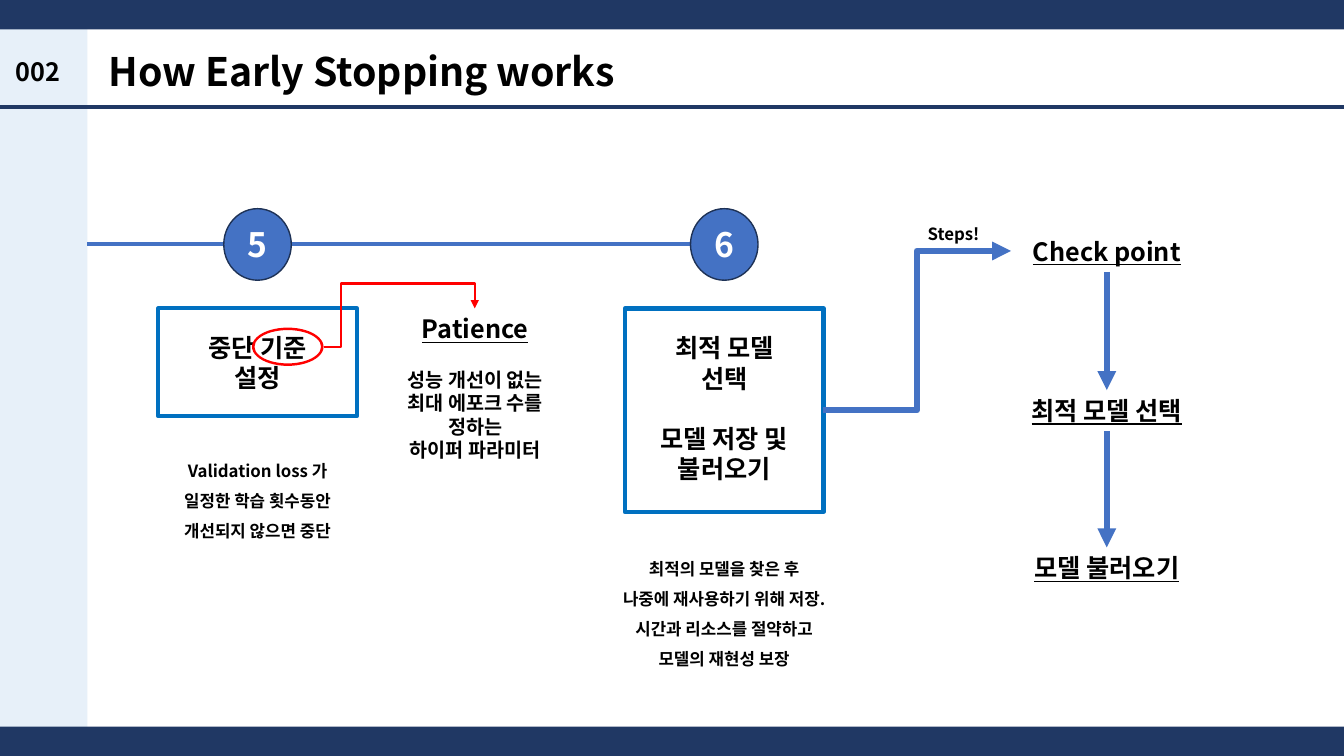
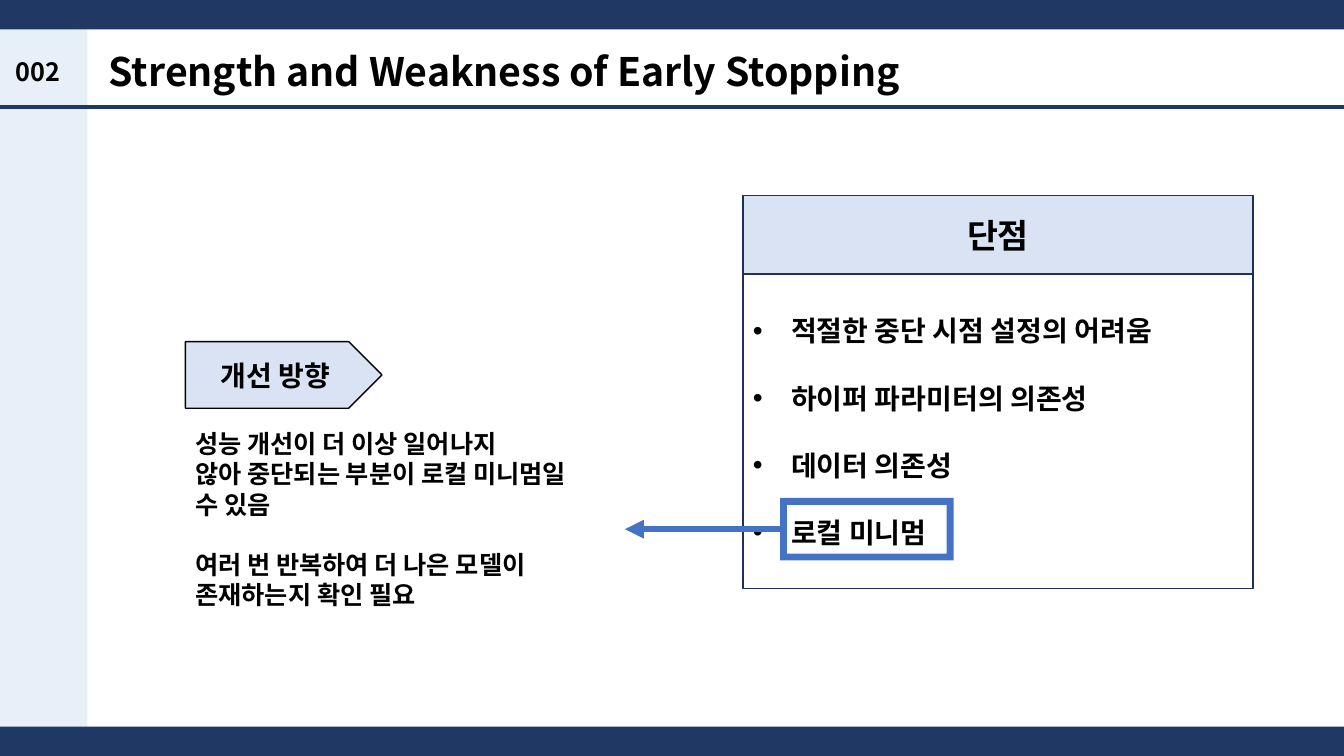
from lxml.etree import SubElement
from pptx import Presentation
from pptx.dml.color import RGBColor
from pptx.enum.shapes import MSO_CONNECTOR as Connector, MSO_SHAPE as Shape
from pptx.enum.text import MSO_ANCHOR as Anchor, PP_ALIGN as Align
from pptx.oxml.ns import qn
from pptx.util import Inches, Pt

COLUMNS, ROWS = 160, 90
NAVY, BLUE, AZURE, RED = "203864", "4472C4", "0070C0", "FF0000"
EDGE, PALE, MIST, BLACK, WHITE = "1E3256", "DAE3F3", "DEEBF7", "000000", "FFFFFF"


def rgb(code):
    return RGBColor.from_string(code)


class Deck:
    font = "Noto Sans CJK KR"
    sidebar = 10.4
    band = 3.5

    def __init__(self):
        self.file = Presentation()
        self.file.slide_width = Inches(13.33)
        self.file.slide_height = Inches(7.5)
        self.slide = None

    def place(self, *cells):
        sides = (self.file.slide_width / COLUMNS, self.file.slide_height / ROWS)
        return [round(cell * sides[i % 2]) for i, cell in enumerate(cells)]

    def page(self, title, number):
        self.slide = self.file.slides.add_slide(self.file.slide_layouts[6])
        self.shape(Shape.RECTANGLE, (0, 0, self.sidebar, ROWS), MIST, alpha=72)
        for top in (0, ROWS - self.band):
            self.shape(Shape.RECTANGLE, (0, top, COLUMNS, self.band), NAVY)
        self.line((0, 12.72), (COLUMNS, 12.72), NAVY, 3)
        self.text((11.76, 5.04, 124.8, 6.84), [title], 28, Align.LEFT)
        self.text((0.72, 6.12, 8.88, 4.8), [number], 18, Align.LEFT)

    def shape(self, kind, box, fill=None, edge=None, width=1, adjust=None, alpha=None):
        shape = self.slide.shapes.add_shape(kind, *self.place(*box))
        shape.shadow.inherit = False
        if fill:
            shape.fill.solid()
            shape.fill.fore_color.rgb = rgb(fill)
        else:
            shape.fill.background()
        if edge:
            shape.line.color.rgb = rgb(edge)
            shape.line.width = Pt(width)
        else:
            shape.line.fill.background()
        if adjust is not None:
            shape.adjustments[0] = adjust
        if alpha is not None:
            tint = shape.element.spPr.find(qn("a:solidFill"))[0]
            SubElement(tint, qn("a:alpha"), val=str(alpha * 1000))
        return shape

    def line(self, start, end, color, width, arrow=False, bends=()):
        kind = Connector.ELBOW if bends else Connector.STRAIGHT
        line = self.slide.shapes.add_connector(kind, *self.place(*start, *end))
        line.line.color.rgb = rgb(color)
        line.line.width = Pt(width)
        properties = line.element.spPr
        if arrow:
            SubElement(properties.find(qn("a:ln")), qn("a:tailEnd"), type="triangle")
        if bends:
            geometry = properties.find(qn("a:prstGeom"))
            geometry.set("prst", f"bentConnector{len(bends) + 2}")
            guides = geometry.find(qn("a:avLst"))
            for i, bend in enumerate(bends, 1):
                value = f"val {round(bend * 100000)}"
                SubElement(guides, qn("a:gd"), name=f"adj{i}", fmla=value)
        SubElement(properties, qn("a:effectLst"))

    def text(self, box, lines, size, align=Align.CENTER, **style):
        label = self.slide.shapes.add_textbox(*self.place(*box))
        self.caption(label, lines, size, align, Anchor.TOP, **style)

    def caption(self, shape, lines, size, align=Align.CENTER, anchor=Anchor.MIDDLE,
                color=BLACK, spacing=None, gap=0, bullet=None, underline=False):
        frame = shape.text_frame
        frame.word_wrap = True
        frame.vertical_anchor = anchor
        for i, entry in enumerate(lines):
            words, own = entry if isinstance(entry, tuple) else (entry, {})
            look = {"size": size, "underline": underline, "gap": gap, **own}
            paragraph = frame.paragraphs[0] if i == 0 else frame.add_paragraph()
            layout = {"alignment": align, "line_spacing": spacing,
                      "space_before": Pt(look["gap"] if i else 0)}
            for name, value in layout.items():
                setattr(paragraph, name, value)
            if bullet:
                properties = paragraph._p.get_or_add_pPr()
                indent = Inches(0.38)
                properties.set("marL", str(indent))
                properties.set("indent", str(-indent))
                SubElement(properties, qn("a:buFont"), typeface="Arial")
                SubElement(properties, qn("a:buChar"), char=bullet)
            run = paragraph.add_run()
            run.text = words
            letters = {"name": self.font, "size": Pt(look["size"]), "bold": True,
                       "underline": look["underline"]}
            for name, value in letters.items():
                setattr(run.font, name, value)
            run.font.color.rgb = rgb(color)
            SubElement(run._r.get_or_add_rPr(), qn("a:ea"), typeface=self.font)

    def stage(self, center, number, height, label, note, note_box):
        badge = self.shape(Shape.OVAL, (center - 4.02, 24.84, 8.04, 8.52), BLUE, EDGE)
        self.caption(badge, [number], 24, color=WHITE)
        self.shape(Shape.RECTANGLE, (center - 11.82, 36.72, 23.64, height), edge=AZURE, width=3)
        self.text((center - 9.36, 39, 18.72, height - 4.6), label, 18)
        top, width, depth = note_box
        self.text((center - width / 2, top, width, depth), note, 12, spacing=1.5)


def how_it_works(deck):
    deck.page("How Early Stopping works", "002")
    deck.line((deck.sidebar, 29.04), (90.24, 29.04), BLUE, 3)
    deck.stage(30.66, "5", 12.84, ["중단 기준", "설정"],
               ["Validation loss 가", "일정한 학습 횟수동안 개선되지 않으면 중단"],
               (53.04, 23.64, 11.64))
    deck.stage(86.22, "6", 24.24,
               ["최적 모델 선택", ("모델 저장 및 불러오기", {"gap": 21.5})],
               ["최적의 모델을 찾은 후",
                "나중에 재사용하기 위해 저장. 시간과 리소스를 절약하고",
                "모델의 재현성 보장"],
               (64.68, 30.48, 15.24))

    deck.text((42.72, 36.72, 27.72, 18.96),
              [("Patience", {"size": 18, "underline": True}),
               ("성능 개선이 없는", {"gap": 17}),
               "최대 에포크 수를", "정하는", "하이퍼 파라미터"], 14)
    deck.shape(Shape.DONUT, (30, 39, 8.52, 4.56), RED, adjust=0.065)
    deck.line((38.52, 41.28), (56.52, 36.72), RED, 1.5, arrow=True, bends=(0.115, 1.651))

    deck.line((97.92, 48.84), (120.36, 29.88), BLUE, 4.5, arrow=True, bends=(0.5,))
    deck.text((108.72, 24.84, 9.6, 4.32), ["Steps!"], 12, spacing=1.5)
    steps = ["Check point", "최적 모델 선택", "모델 불러오기"]
    tops = [27.48, 46.44, 65.16]
    for step, top in zip(steps, tops):
        deck.text((120.36, top, 22.8, 4.9), [step], 18, underline=True)
    for top, following in zip(tops, tops[1:]):
        deck.line((131.76, top + 4.9), (131.76, following), BLUE, 4.5, arrow=True)


def strength_and_weakness(deck):
    deck.page("Strength and Weakness of Early Stopping", "002")
    heading = deck.shape(Shape.RECTANGLE, (88.44, 23.28, 60.72, 9.36), PALE, EDGE)
    deck.caption(heading, ["단점"], 24)
    weaknesses = deck.shape(Shape.RECTANGLE, (88.44, 32.64, 60.72, 37.44), edge=EDGE)
    deck.caption(weaknesses,
                 ["적절한 중단 시점 설정의 어려움", "하이퍼 파라미터의 의존성",
                  "데이터 의존성", "로컬 미니멈"],
                 20, Align.LEFT, gap=24, bullet="•")
    deck.shape(Shape.FRAME, (92.88, 59.28, 20.64, 7.44), BLUE, adjust=0.109)
    deck.line((92.88, 63), (74.4, 63), BLUE, 4.5, arrow=True)
    deck.text((22.08, 50.4, 49.56, 23.04),
              ["성능 개선이 더 이상 일어나지", "않아 중단되는 부분이 로컬 미니멈일 수 있음",
               ("여러 번 반복하여 더 나은 모델이 존재하는지 확인 필요", {"gap": 21.5})],
              18, Align.LEFT)
    remedy = deck.shape(Shape.PENTAGON, (22.08, 40.68, 23.4, 7.92), PALE, BLACK)
    deck.caption(remedy, ["개선 방향"], 20)


def main():
    deck = Deck()
    how_it_works(deck)
    strength_and_weakness(deck)
    deck.file.save("out.pptx")


if __name__ == "__main__":
    main()
